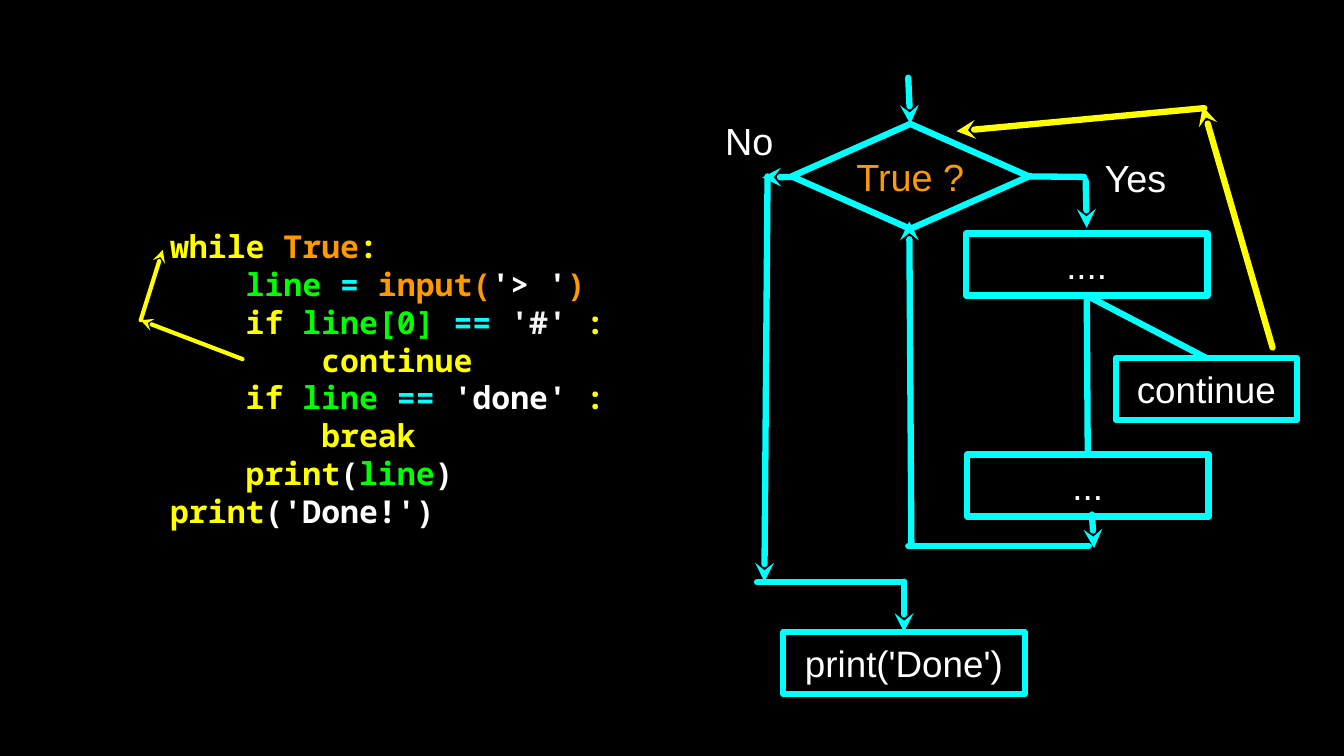
import pptx
import pptx.util
import pptx.dml.color
import pptx.enum.shapes
import pptx.enum.text
from dataclasses import dataclass
from lxml import etree
from pptx.util import Pt


@dataclass(frozen=True)
class Theme:
    black: str = "000000"
    white: str = "FFFFFF"
    pale: str = "F3F3F3"
    cyan: str = "00FFFF"
    yellow: str = "FFFF00"
    orange: str = "FF9900"
    green: str = "00FF00"
    label_size: int = 36
    box_size: int = 35
    code_size: int = 30
    flow_width: int = 6
    code_width: int = 4
    label_font: str = "Arial"
    code_font: str = "Noto Sans Mono"


theme = Theme()
rgb = pptx.dml.color.RGBColor.from_string
shape_kind = pptx.enum.shapes.MSO_SHAPE
namespace = "{http://schemas.openxmlformats.org/drawingml/2006/main}"

deck = pptx.Presentation()
deck.slide_width, deck.slide_height = Pt(1280), Pt(720)
page = deck.slides.add_slide(deck.slide_layouts[6])
page.background.fill.solid()
page.background.fill.fore_color.rgb = rgb(theme.black)


def add_label(kind, left, top, width, height, text, size, color):
    """Centred text, in an outlined shape or, without a kind, in a text box."""
    area = Pt(left), Pt(top), Pt(width), Pt(height)
    if kind is None:
        box = page.shapes.add_textbox(*area)
    else:
        box = page.shapes.add_shape(kind, *area)
        box.shadow.inherit = False
        box.fill.background()
        box.line.color.rgb = rgb(theme.cyan)
        box.line.width = Pt(theme.flow_width)
        etree.SubElement(box.line._get_or_add_ln(), namespace + "round")
    frame = box.text_frame
    frame.margin_left = frame.margin_right = frame.margin_top = frame.margin_bottom = 0
    frame.vertical_anchor = pptx.enum.text.MSO_ANCHOR.MIDDLE
    frame.word_wrap = True
    frame.text = text
    para = frame.paragraphs[0]
    para.alignment = pptx.enum.text.PP_ALIGN.CENTER
    para.font.name = theme.label_font
    para.font.size = Pt(size)
    para.font.color.rgb = rgb(color)
    return box


def add_line(start, end, arrow=True, color=theme.cyan, width=theme.flow_width):
    """A line between points, or (shape, side) pairs to join."""
    points = [(0, 0) if hasattr(place[0], "shape_id") else place for place in (start, end)]
    line = page.shapes.add_connector(pptx.enum.shapes.MSO_CONNECTOR.STRAIGHT,
                                     *[Pt(value) for point in points for value in point])
    if hasattr(start[0], "shape_id"):
        line.begin_connect(*start)
    if hasattr(end[0], "shape_id"):
        line.end_connect(*end)
    line.line.color.rgb = rgb(color)
    line.line.width = Pt(width)
    outline = line.line._get_or_add_ln()
    outline.set("cap", "rnd")
    etree.SubElement(outline, namespace + "round")
    if arrow:
        etree.SubElement(outline, namespace + "tailEnd", type="stealth")
    etree.SubElement(line._element.spPr, namespace + "effectLst")


# Flowchart shapes
test = add_label(shape_kind.DIAMOND, 754, 118, 226, 100, "True ?", theme.label_size, theme.orange)
boxes = [add_label(shape_kind.RECTANGLE, left, top, width, 59, text, theme.box_size, theme.white)
         for left, top, width, text in [(920, 222.5, 230, "...."),
                                        (1063, 341, 172, "continue"),
                                        (921, 433, 230, "..."),
                                        (746, 602, 230, "print('Done')")]]
first_step, skip_step, last_step, done_step = boxes
for left, top, width, text in [(685, 109, 57, "No"), (1047, 144, 69, "Yes")]:
    add_label(None, left, top, width, 49, text, theme.label_size, theme.white)

# Entry and Yes branch
add_line((865, 74), (test, 0))
add_line((test, 3), (1032.5, 168.5), arrow=False)
add_line((1034, 172), (1035, 217))
add_line((first_step, 2), (last_step, 0), arrow=False)
add_line((first_step, 2), (skip_step, 0), arrow=False)

# Return to the test
add_line((1040, 490), (1042, 522))
add_line((1037, 520), (865, 520), arrow=False)
add_line((868, 520), (866, 211))

# No branch
add_line((757, 168.5), (726, 169))
add_line((731, 168), (728, 554))
add_line((721, 554.5), (861, 554.5), arrow=False)
add_line((861, 554), (done_step, 0))

# Jumps made by continue: in the flowchart, then beside the code
for start, end, width in [((1212, 331), (1145.5, 101.5), theme.flow_width),
                          ((1147, 103), (911, 125), theme.flow_width),
                          ((231, 342), (134, 305), theme.code_width),
                          ((134, 305), (155, 238), theme.code_width)]:
    add_line(start, end, color=theme.yellow, width=width)

# Code listing, as coloured pieces
code = [
    [("while ", theme.yellow), ("True", theme.orange), (":", theme.yellow)],
    [("    line ", theme.green), ("= ", theme.cyan), ("input(", theme.orange),
     ("'> '", theme.white), (")", theme.orange)],
    [("    if", theme.yellow), (" line[0] ", theme.green), ("== ", theme.cyan),
     ("'#' ", theme.pale), (":", theme.yellow)],
    [("        continue", theme.yellow)],
    [("    if ", theme.yellow), ("line ", theme.green), ("== ", theme.cyan),
     ("'done' ", theme.white), (":", theme.yellow)],
    [("        break", theme.yellow)],
    [("    print", theme.yellow), ("(", theme.white), ("line", theme.green), (")", theme.white)],
    [("print", theme.yellow), ("('Done!')", theme.white)],
]
listing = page.shapes.add_textbox(Pt(162), Pt(186), Pt(495), Pt(349))
frame = listing.text_frame
frame.margin_left = frame.margin_right = frame.margin_top = frame.margin_bottom = 0
frame.vertical_anchor = pptx.enum.text.MSO_ANCHOR.MIDDLE
frame.word_wrap = True
for index, pieces in enumerate(code):
    para = frame.add_paragraph() if index else frame.paragraphs[0]
    for text, color in pieces:
        span = para.add_run()
        span.text = text
        span.font.name = theme.code_font
        span.font.size = Pt(theme.code_size)
        span.font.bold = True
        span.font.color.rgb = rgb(color)

deck.save("out.pptx")
